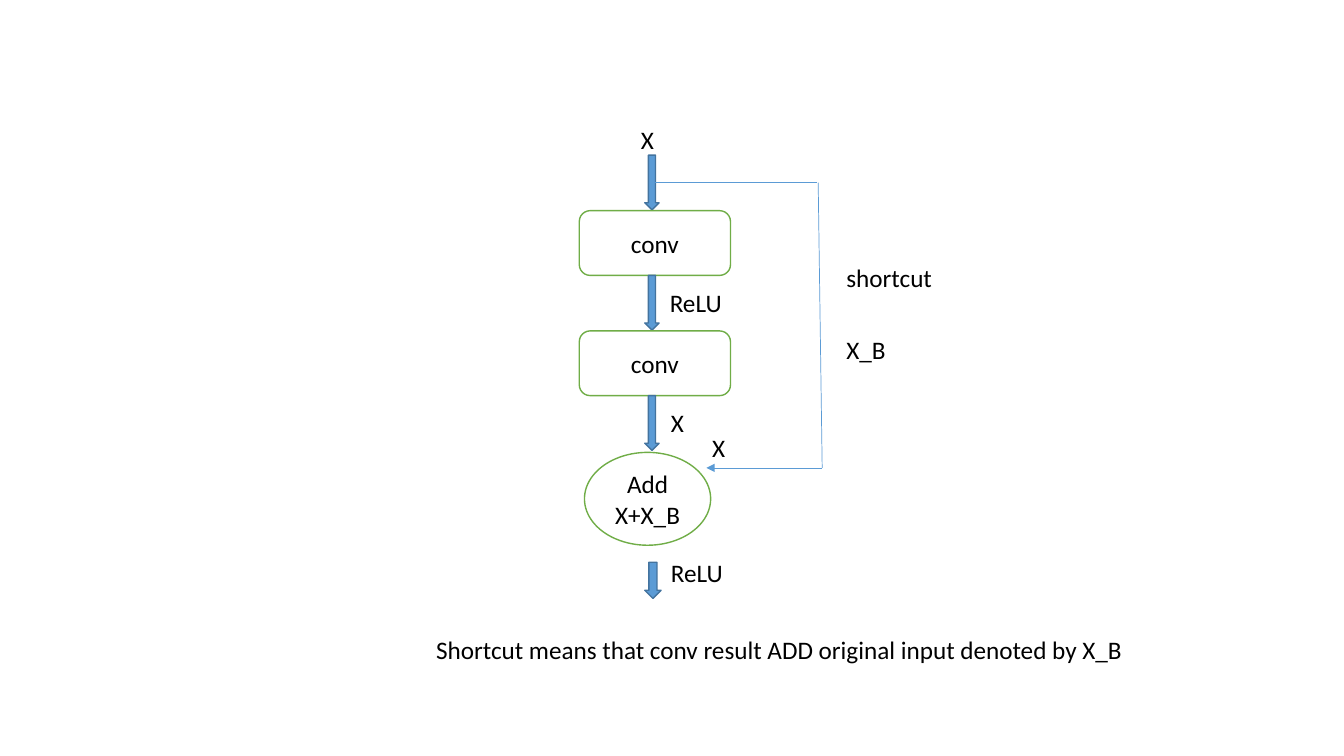
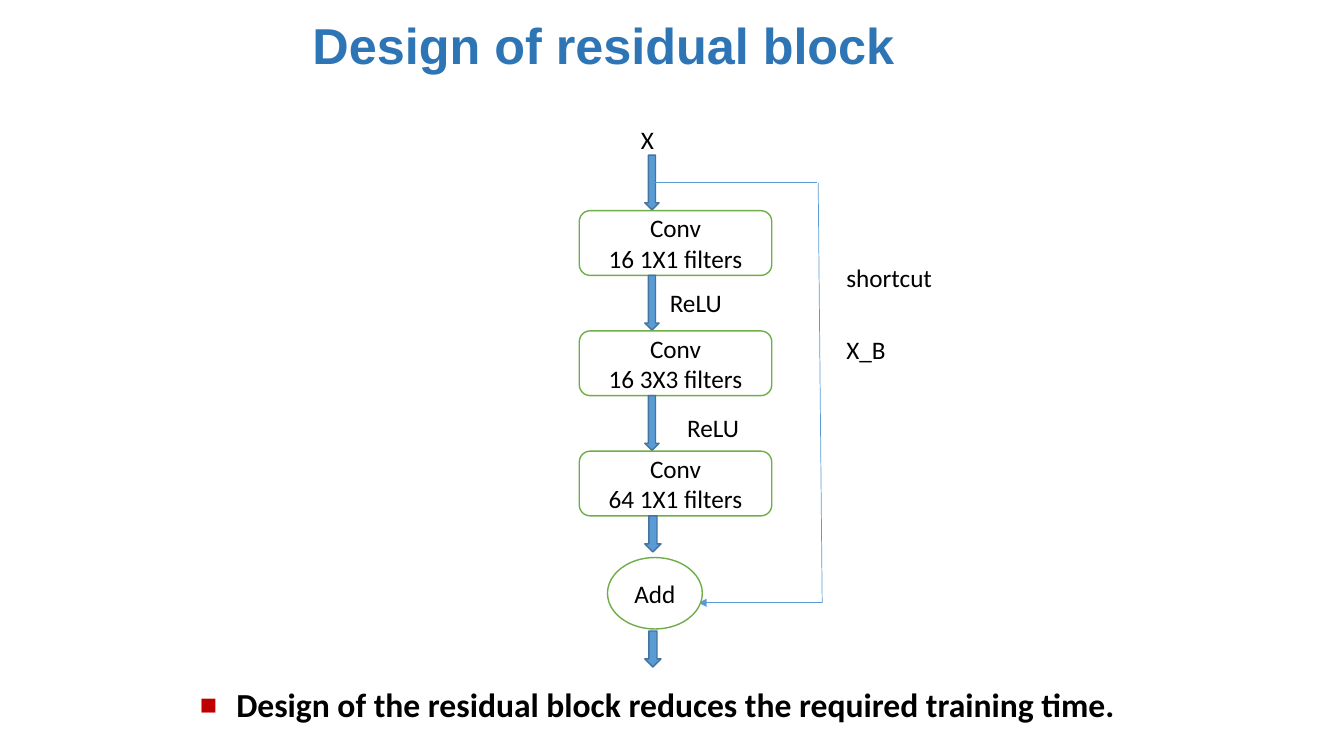
"""Build two slides that explain residual blocks with shortcut connections."""
from lxml import etree
from pptx import Presentation
from pptx.dml.color import RGBColor
from pptx.enum.shapes import MSO_CONNECTOR, MSO_SHAPE
from pptx.enum.text import MSO_ANCHOR, MSO_AUTO_SIZE, PP_ALIGN
from pptx.oxml.ns import qn
from pptx.util import Cm, Pt

ROUNDED, OVAL, DOWN = MSO_SHAPE.ROUNDED_RECTANGLE, MSO_SHAPE.OVAL, MSO_SHAPE.DOWN_ARROW
STRAIGHT = MSO_CONNECTOR.STRAIGHT
TOP, MIDDLE = MSO_ANCHOR.TOP, MSO_ANCHOR.MIDDLE
LEFT, CENTER = PP_ALIGN.LEFT, PP_ALIGN.CENTER
FIXED = MSO_AUTO_SIZE.NONE

BLACK, WHITE, GREEN = "000000", "FFFFFF", "70AD47"
BLUE, ARROW_EDGE, TITLE_BLUE, BULLET_RED = "5B9BD5", "43739E", "2E75B6", "C00000"

BLOCK_ORIGIN = (14.6, 3.0)
CONV_TOP, CONV_HEIGHT, CONV_PITCH = 2.31, 1.63, 3.03
LONG_ARROW, SHORT_ARROW = (0.36, 1.38), (0.41, 0.91)
ARROW_LEFT = 1.65
LABEL_HEIGHT = 1.02


def rgb(hex_code):
    """Turn a hex string into a colour."""
    return RGBColor.from_string(hex_code)


def style_text(frame, size=18, font="Calibri", color=BLACK, bold=False, align=LEFT):
    """Give every paragraph of a text frame the same look."""
    for paragraph in frame.paragraphs:
        paragraph.alignment = align
        paragraph.font.size = Pt(size)
        paragraph.font.name = font
        paragraph.font.bold = bold
        paragraph.font.color.rgb = rgb(color)


def add_label(slide, text, left, top, width):
    """Add one unwrapped line of text."""
    frame = slide.shapes.add_textbox(Cm(left), Cm(top), Cm(width), Cm(LABEL_HEIGHT)).text_frame
    frame.word_wrap = False
    frame.text = text
    style_text(frame)


def add_node(slide, kind, box, fill, edge, text=""):
    """Add a filled and outlined shape, with centred text if given."""
    node = slide.shapes.add_shape(kind, *map(Cm, box))
    node.shadow.inherit = False
    node.fill.solid()
    node.fill.fore_color.rgb = rgb(fill)
    node.line.color.rgb = rgb(edge)
    node.line.width = Pt(1)
    if text:
        node.text_frame.text = text
        node.text_frame.vertical_anchor = MIDDLE
        style_text(node.text_frame, align=CENTER)


def add_line(slide, start, end, arrow=False):
    """Add a thin straight line, with an arrowhead at its end on request."""
    line = slide.shapes.add_connector(STRAIGHT, *map(Cm, (*start, *end)))
    line.line.color.rgb = rgb(BLUE)
    line.line.width = Pt(0.5)
    if arrow:
        etree.SubElement(line.line._get_or_add_ln(), qn("a:tailEnd"), type="triangle")
    etree.SubElement(line._element.spPr, qn("a:effectLst"))


def add_shortcut(slide, origin, target):
    """Draw the bypass from the input arrow to a target point."""
    x, y = origin
    target_x, target_y = x + target[0], y + target[1]
    add_line(slide, (x + 1.9, y + 1.6), (x + 6, y + 1.6))
    add_line(slide, (x + 6.02, y + 1.6), (x + 6.12, target_y))
    add_line(slide, (x + 6.12, target_y), (target_x, target_y), arrow=True)


def add_residual_block(slide, origin, convs, conv_width, adder, add_text, out_top, target, labels):
    """Draw a column of convolutions, the adder and the shortcut around them."""
    x, y = origin

    def add_arrow(top, size):
        """Add a block arrow in the column."""
        add_node(slide, DOWN, (x + ARROW_LEFT, y + top, *size), BLUE, ARROW_EDGE)

    add_arrow(0.91, LONG_ARROW)
    for index, text in enumerate(convs):
        top = CONV_TOP + index * CONV_PITCH
        add_node(slide, ROUNDED, (x, y + top, conv_width, CONV_HEIGHT), WHITE, GREEN, text)
        add_arrow(top + CONV_HEIGHT, LONG_ARROW if index < 2 else SHORT_ARROW)
    add_shortcut(slide, origin, target)
    left, top, width, height = adder
    add_node(slide, OVAL, (x + left, y + top, width, height), WHITE, GREEN, add_text)
    add_arrow(out_top, SHORT_ARROW)
    shared = [("X", 1.3, 0, 0.84), ("ReLU", 2.03, 4.11, 1.83),
              ("shortcut", 6.48, 3.48, 2.69), ("X_B", 6.48, 5.31, 1.52)]
    for text, left, top, width in shared + labels:
        add_label(slide, text, x + left, y + top, width)


def fill_placeholder(placeholder, box, text, **look):
    """Move a placeholder, then set and format its text."""
    placeholder.left, placeholder.top, placeholder.width, placeholder.height = map(Cm, box)
    frame = placeholder.text_frame
    frame.text = text
    frame.auto_size = FIXED
    frame.word_wrap = True
    frame.vertical_anchor = TOP
    style_text(frame, **look)
    return frame.paragraphs[0]


def add_square_bullet(paragraph):
    """Give a paragraph a hanging red square bullet."""
    paragraph.space_before = Pt(0)
    props = paragraph._p.get_or_add_pPr()
    props.set("marL", str(Cm(0.95)))
    props.set("indent", str(Cm(-0.95)))
    color = etree.SubElement(props, qn("a:buClr"))
    etree.SubElement(color, qn("a:srgbClr"), val=BULLET_RED)
    etree.SubElement(props, qn("a:buSzPct"), val="166000")
    etree.SubElement(props, qn("a:buFont"), typeface="Arial")
    etree.SubElement(props, qn("a:buChar"), char="▪")


def build_shortcut_slide(deck):
    """Show the basic block with two convolutions."""
    slide = deck.slides.add_slide(deck.slide_layouts[6])
    add_residual_block(
        slide, BLOCK_ORIGIN, ["conv", "conv"], 3.81,
        adder=(0.13, 8.4, 3.18, 2.34), add_text="Add\nX+X_B", out_top=11.17, target=(3.2, 8.79),
        labels=[("X", 2.06, 7.14, 0.84), ("X", 3.1, 7.77, 0.84), ("ReLU", 2.06, 10.92, 1.83)])
    add_label(slide, "Shortcut means that conv result ADD original input denoted by X_B",
              10.74, 15.85, 18.31)


def build_design_slide(deck):
    """Show the block with three convolutions and its benefit."""
    slide = deck.slides.add_slide(deck.slide_layouts[1])
    fill_placeholder(slide.shapes.title, (7.62, 0.23, 21.1, 1.8), "Design of residual block",
                     size=36, font="Arial", color=TITLE_BLUE, bold=True)
    benefit = fill_placeholder(slide.placeholders[1], (4.75, 17.1, 25.4, 1.27),
                               "Design of the residual block reduces the required training time.",
                               size=24, bold=True)
    add_square_bullet(benefit)
    filters = ["16 1X1", "16 3X3", "64 1X1"]
    add_residual_block(
        slide, BLOCK_ORIGIN, [f"Conv\n{size} filters" for size in filters], 4.85,
        adder=(0.71, 11.05, 2.39, 1.8), add_text="Add", out_top=12.9, target=(3, 12.19),
        labels=[("ReLU", 2.47, 7.26, 1.83)])


def main():
    """Build and save the deck."""
    deck = Presentation()
    deck.slide_width, deck.slide_height = Cm(33.87), Cm(19.05)
    build_shortcut_slide(deck)
    build_design_slide(deck)
    deck.save("out.pptx")


if __name__ == "__main__":
    main()
